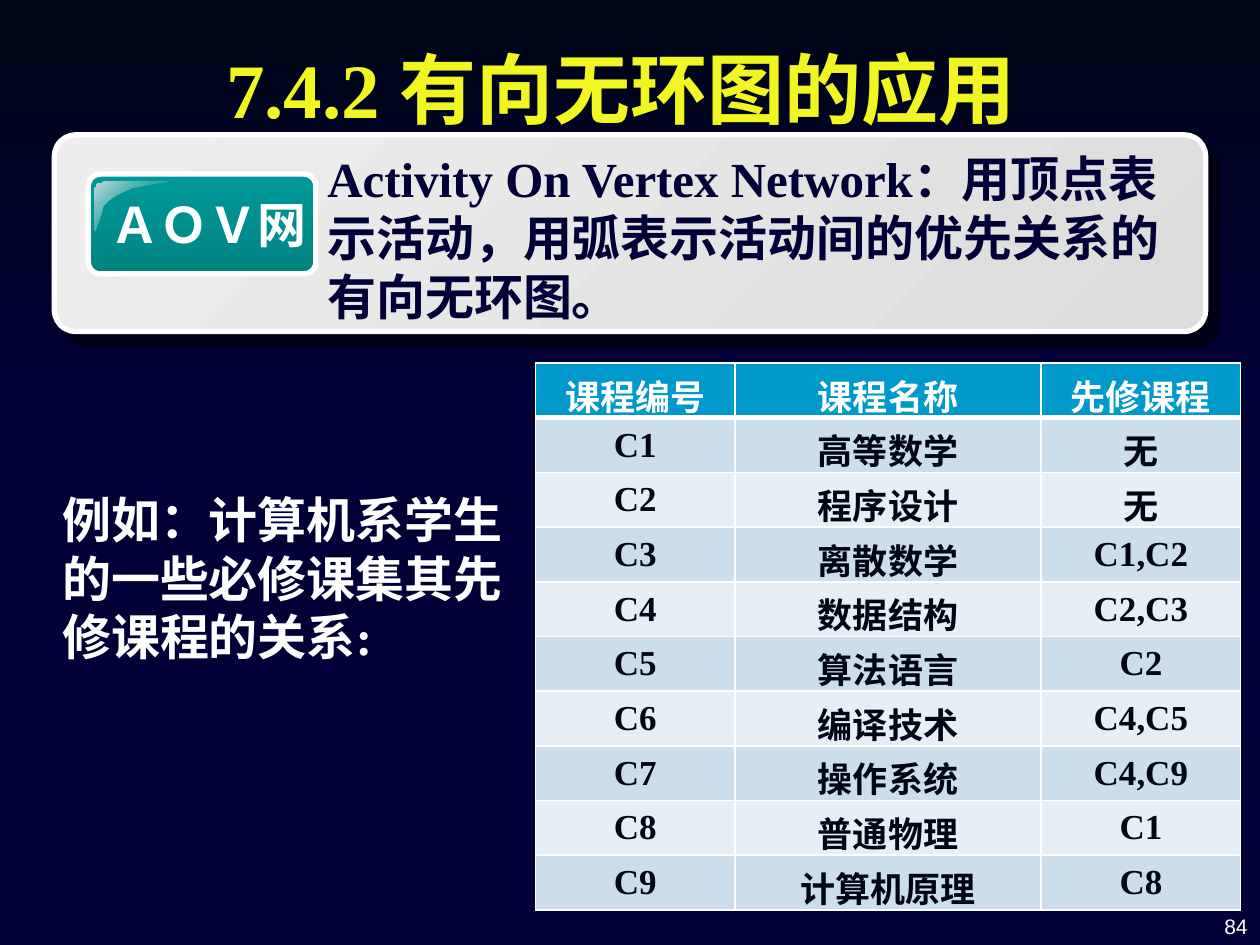
from dataclasses import dataclass

from lxml import etree
from pptx import Presentation
from pptx import util as u
from pptx.dml import color
from pptx.enum import shapes, text
from pptx.oxml import ns

Pt = u.Pt


@dataclass(frozen=True)
class Theme:
    background: str = "000036"
    night: str = "000514"
    title: str = "F1F622"
    white: str = "FFFFFF"
    panel: tuple = ("EEEEEE", "DDDDDD")
    badge: tuple = ("009999", "008383")
    gloss: tuple = ("C9DBDB", "009999")
    header: str = "0099CC"
    bands: tuple = ("CCDEEC", "E7EFF6")
    serif: str = "Times New Roman"
    sans: str = "Arial"
    title_size: int = 44
    body_size: int = 28
    table_size: int = 20
    number_size: int = 12


THEME = Theme()

COURSES = [
    ("课程编号", "课程名称", "先修课程"),
    ("C1", "高等数学", "无"),
    ("C2", "程序设计", "无"),
    ("C3", "离散数学", "C1,C2"),
    ("C4", "数据结构", "C2,C3"),
    ("C5", "算法语言", "C2"),
    ("C6", "编译技术", "C4,C5"),
    ("C7", "操作系统", "C4,C9"),
    ("C8", "普通物理", "C1"),
    ("C9", "计算机原理", "C8"),
]


def rgb(value):
    return color.RGBColor.from_string(value)


def add_xml(parent, tag, **attributes):
    return etree.SubElement(parent, ns.qn(tag), attributes)


def write(frame, wording, size, ink, align=text.PP_ALIGN.LEFT,
          font=THEME.serif, bold=True):
    paragraph = frame.paragraphs[0]
    paragraph.alignment = align
    run = paragraph.add_run()
    run.text = wording
    run.font.name = font
    run.font.size = Pt(size)
    run.font.bold = bold
    run.font.color.rgb = rgb(ink)


def add_text(slide, box, wording, size, ink, anchor=text.MSO_ANCHOR.TOP, **style):
    frame = slide.shapes.add_textbox(*map(Pt, box)).text_frame
    frame.word_wrap = True
    frame.vertical_anchor = anchor
    write(frame, wording, size, ink, **style)


def set_gradient(shape, colors, angle):
    """Fill with two colours; the angle runs clockwise from the left edge."""
    shape.fill.gradient()
    shape.fill.gradient_angle = (360 - angle) % 360
    for stop, value, position in zip(shape.fill.gradient_stops, colors, (0, 1)):
        stop.color.rgb = rgb(value)
        stop.position = position


def add_panel(slide, kind, box, colors, angle, outline=None, corner=None):
    shape = slide.shapes.add_shape(kind, *map(Pt, box))
    shape.shadow.inherit = False
    set_gradient(shape, colors, angle)
    if corner is not None:
        shape.adjustments[0] = corner
    if outline:
        shape.line.color.rgb = rgb(THEME.white)
        shape.line.width = Pt(outline)
    else:
        shape.line.fill.background()
    return shape


def add_shadow(shape):
    effects = shape._element.spPr.find(ns.qn("a:effectLst"))
    shadow = add_xml(effects, "a:outerShdw", dist=str(Pt(10.6)),
                     dir=str(49 * 60000), algn="ctr", rotWithShape="0")
    ink = add_xml(shadow, "a:srgbClr", val="000000")
    add_xml(ink, "a:alpha", val="50000")


def curve(start, first, second, end, steps=8):
    """Points along a cubic Bezier curve, without its start."""
    points = []
    for step in range(1, steps + 1):
        t = step / steps
        weights = ((1 - t) ** 3, 3 * t * (1 - t) ** 2, 3 * t * t * (1 - t), t ** 3)
        points.append(tuple(
            sum(weight * value for weight, value in zip(weights, axis))
            for axis in zip(start, first, second, end)))
    return points


def add_gloss(slide):
    start, left, tip = (62.6, 103.7), (54, 109.4), (95.8, 103.7)
    shoulder = (65.5, 112.3)
    points = curve(start, (57.6, 103.7), (54, 106.6), left)
    points.append((54, 131.8))
    points += curve((54, 131.8), (56.2, 132.5), (54.7, 118.8), shoulder)
    points += curve(shoulder, (75.6, 105.8), (96.5, 105.1), tip)
    builder = slide.shapes.build_freeform(*start, scale=Pt(1))
    builder.add_line_segments(points, close=True)
    gloss = builder.convert_to_shape()
    gloss.shadow.inherit = False
    gloss.line.fill.background()
    set_gradient(gloss, THEME.gloss, 45)
    last_color = gloss._element.spPr.findall(".//" + ns.qn("a:srgbClr"))[-1]
    add_xml(last_color, "a:alpha", val="0")


def set_borders(cell, row):
    widths = {"L": 1, "R": 1, "T": 3 if row == 1 else 1, "B": 3 if row == 0 else 1}
    properties = cell._tc.get_or_add_tcPr()
    for side, width in widths.items():
        line = add_xml(properties, "a:ln" + side, w=str(Pt(width)))
        add_xml(add_xml(line, "a:solidFill"), "a:srgbClr", val=THEME.white)


def add_course_table(slide):
    widths, row_height = (114, 175, 114), 31.2
    table = slide.shapes.add_table(
        len(COURSES), len(widths), Pt(306), Pt(207.5),
        Pt(sum(widths)), Pt(row_height * len(COURSES))).table
    for column, width in zip(table.columns, widths):
        column.width = Pt(width)
    for row, course in enumerate(COURSES):
        table.rows[row].height = Pt(row_height)
        fill = THEME.bands[(row - 1) % 2] if row else THEME.header
        ink = THEME.night if row else THEME.white
        for column, wording in enumerate(course):
            cell = table.cell(row, column)
            set_borders(cell, row)
            cell.fill.solid()
            cell.fill.fore_color.rgb = rgb(fill)
            cell.vertical_anchor = text.MSO_ANCHOR.MIDDLE
            write(cell.text_frame, wording, THEME.table_size, ink,
                  text.PP_ALIGN.CENTER)


def set_title(slide, wording):
    title = slide.shapes.title
    title.left, title.top, title.width, title.height = map(Pt, (31, 11.5, 648, 77))
    title.text_frame.vertical_anchor = text.MSO_ANCHOR.MIDDLE
    write(title.text_frame, wording, THEME.title_size, THEME.title,
          text.PP_ALIGN.CENTER)
    # Bring the title in front of the backdrop
    slide.shapes._spTree.append(title._element)


def main():
    presentation = Presentation()
    presentation.slide_width, presentation.slide_height = Pt(720), Pt(540)
    slide = presentation.slides.add_slide(presentation.slide_layouts[5])
    slide.background.fill.solid()
    slide.background.fill.fore_color.rgb = rgb(THEME.background)

    kinds = shapes.MSO_SHAPE
    add_panel(slide, kinds.RECTANGLE, (0, 0, 720, 222),
              (THEME.night, THEME.background), 90)
    set_title(slide, "7.4.2 有向无环图的应用")
    add_text(slide, (552, 502.5, 168, 37.5), "84", THEME.number_size, THEME.white,
             anchor=text.MSO_ANCHOR.BOTTOM, align=text.PP_ALIGN.RIGHT,
             font=THEME.sans, bold=False)

    panel = add_panel(slide, kinds.ROUNDED_RECTANGLE, (31, 77, 658, 112.5),
                      THEME.panel, 45, outline=3, corner=0.11)
    add_shadow(panel)
    add_panel(slide, kinds.ROUNDED_RECTANGLE, (50.5, 99.5, 130, 57),
              THEME.badge, 90, outline=3, corner=0.12)
    add_gloss(slide)
    add_text(slide, (48, 107.5, 142, 41), "ＡＯＶ网", THEME.body_size, THEME.white,
             align=text.PP_ALIGN.CENTER)
    add_text(slide, (180, 81.5, 509, 108.5),
             "Activity On Vertex Network：用顶点表示活动，"
             "用弧表示活动间的优先关系的有向无环图。",
             THEME.body_size, THEME.background)
    add_text(slide, (28.5, 276, 277, 108.5),
             "例如：计算机系学生的一些必修课集其先修课程的关系:",
             THEME.body_size, THEME.white)
    add_course_table(slide)
    presentation.save("out.pptx")


if __name__ == "__main__":
    main()
